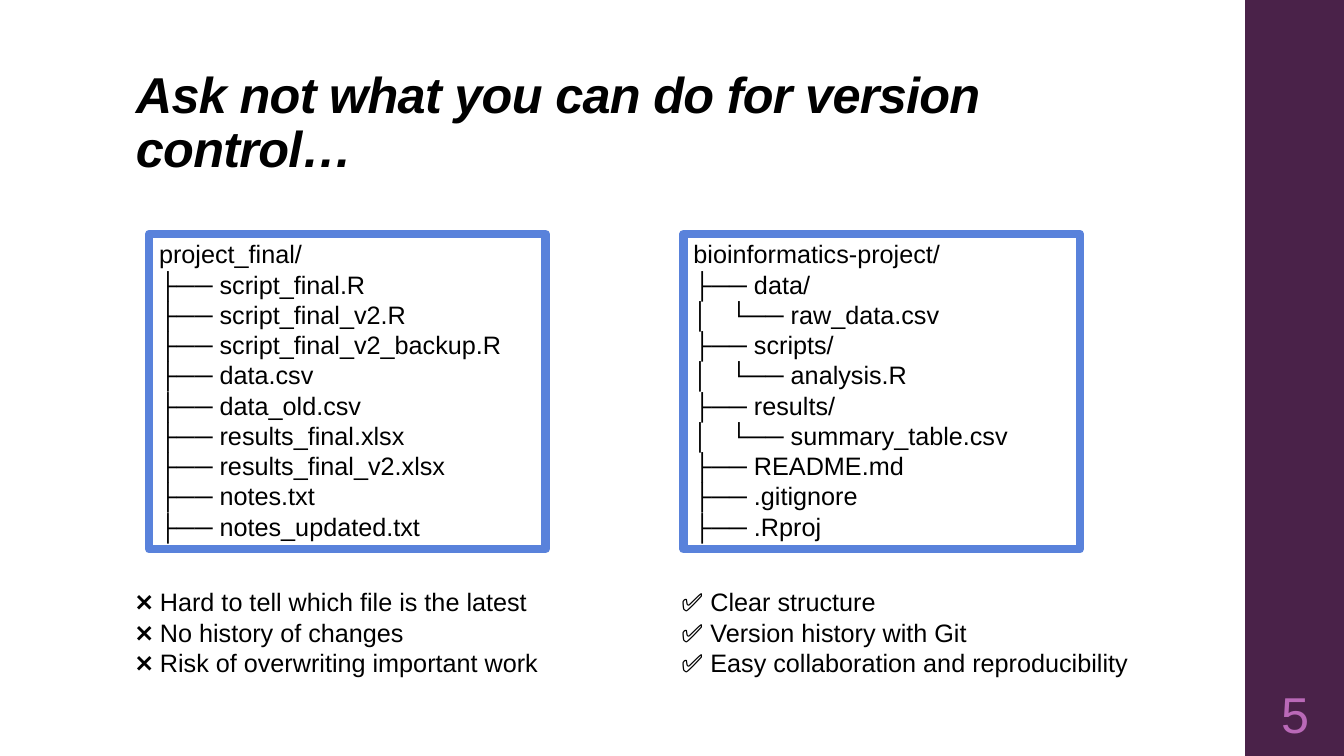
"""Build a slide comparing a messy project folder with a version-controlled one."""
from pptx import Presentation
from pptx.dml.color import RGBColor
from pptx.enum.shapes import MSO_SHAPE
from pptx.enum.text import MSO_ANCHOR as Anchor, PP_ALIGN as Align
from pptx.util import Inches, Pt

BLACK = RGBColor(0x00, 0x00, 0x00)
PLUM = RGBColor(0x4A, 0x22, 0x49)
ORCHID = RGBColor(0xBA, 0x69, 0xB8)
BLUE = RGBColor(0x59, 0x82, 0xDB)


def add_text(left, top, width, height, text, size=18, color=BLACK):
    box = slide.shapes.add_textbox(Inches(left), Inches(top), Inches(width), Inches(height))
    frame = box.text_frame
    frame.word_wrap = True
    frame.text = text
    for paragraph in frame.paragraphs:
        for run in paragraph.runs:
            run.font.name = "Arial"
            run.font.size = Pt(size)
            run.font.color.rgb = color
    return box


prs = Presentation()
prs.slide_width = Inches(13.33)
prs.slide_height = Inches(7.5)
slide = prs.slides.add_slide(prs.slide_layouts[6])

sidebar = slide.shapes.add_shape(
    MSO_SHAPE.RECTANGLE, Inches(12.35), 0, Inches(0.98), prs.slide_height)
sidebar.shadow.inherit = False
sidebar.fill.solid()
sidebar.fill.fore_color.rgb = PLUM
sidebar.line.fill.background()

title = add_text(1.25, 0.95, 10.6, 0.87, "Ask not what you can do for version control…", 36)
title.text_frame.vertical_anchor = Anchor.BOTTOM
heading = title.text_frame.paragraphs[0]
heading.line_spacing = 0.9
heading_run = heading.runs[0]
heading_run.font.bold = True
heading_run.font.italic = True
heading_run.font._element.set("spc", "-50")

messy_tree = """project_final/
├── script_final.R
├── script_final_v2.R
├── script_final_v2_backup.R
├── data.csv
├── data_old.csv
├── results_final.xlsx
├── results_final_v2.xlsx
├── notes.txt
├── notes_updated.txt"""

clean_tree = """bioinformatics-project/
├── data/
│   └── raw_data.csv
├── scripts/
│   └── analysis.R
├── results/
│   └── summary_table.csv
├── README.md
├── .gitignore
├── .Rproj"""

drawbacks = [
    "Hard to tell which file is the latest",
    "No history of changes",
    "Risk of overwriting important work",
]
benefits = [
    "Clear structure",
    "Version history with Git",
    "Easy collaboration and reproducibility",
]

columns = [
    (1.48, messy_tree, 1.25, 4.78, "❌", drawbacks),
    (6.78, clean_tree, 6.66, 5.21, "✅", benefits),
]
for tree_left, tree, points_left, points_width, mark, points in columns:
    tree_box = add_text(tree_left, 2.32, 3.93, 3.13, tree)
    tree_box.line.color.rgb = BLUE
    tree_box.line.width = Pt(6)
    marked_points = "\n".join(f"{mark} {point}" for point in points)
    add_text(points_left, 5.77, points_width, 1.01, marked_points)

page_number = add_text(12.35, 6.75, 1, 0.65, "5", 36, ORCHID).text_frame
page_number.vertical_anchor = Anchor.MIDDLE
page_number.margin_left = page_number.margin_right = Inches(0.05)
page_number.paragraphs[0].alignment = Align.CENTER

prs.save("out.pptx")
